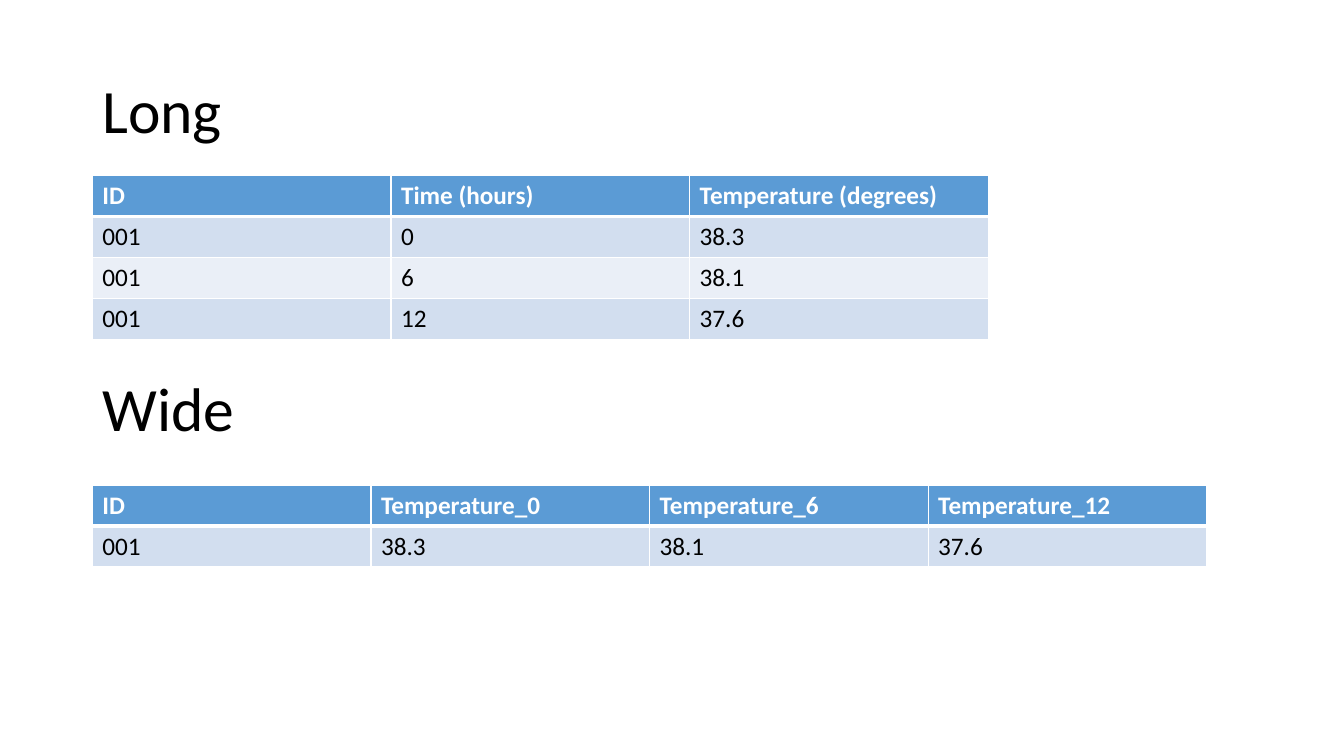
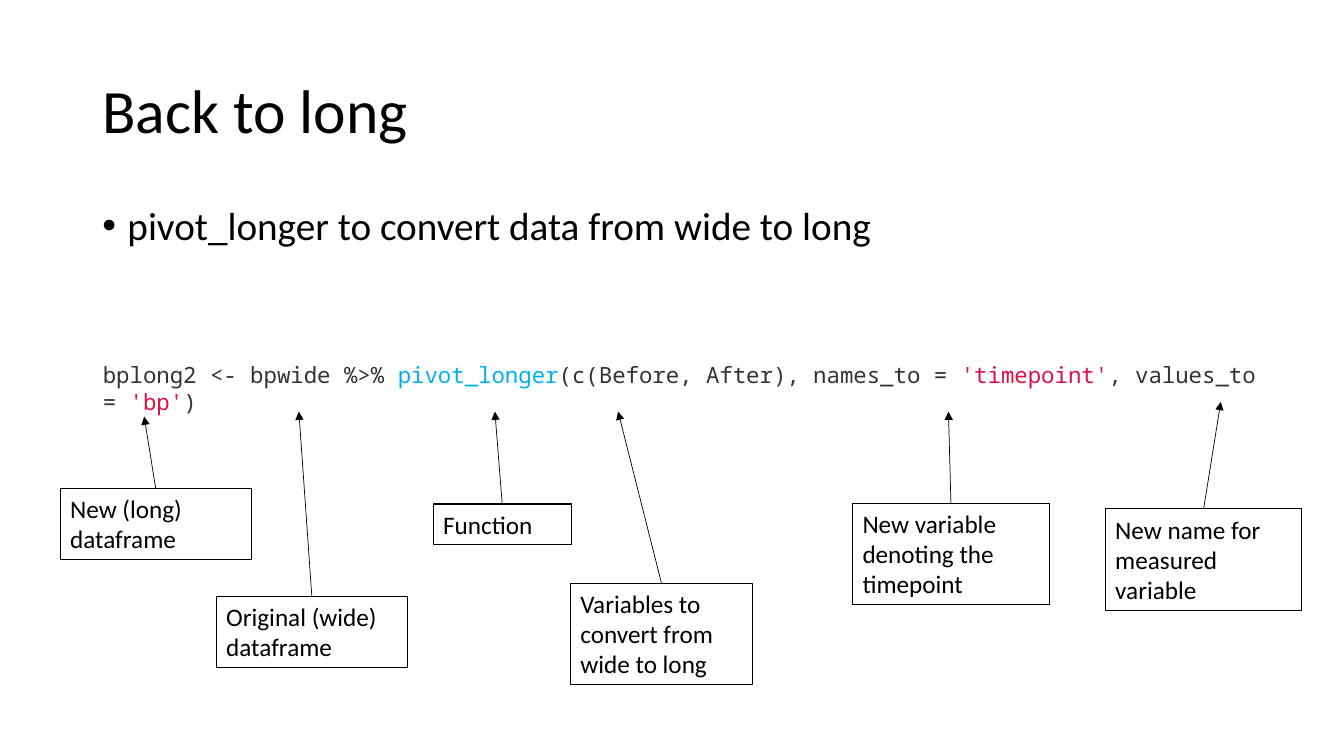
"""Build two slides on reshaping data between long and wide form."""
from typing import NamedTuple

from lxml.etree import SubElement
from pptx import Presentation
from pptx.dml.color import RGBColor
from pptx.enum.shapes import MSO_CONNECTOR as Connector
from pptx.enum.text import MSO_ANCHOR as Anchor
from pptx.oxml.ns import qn
from pptx.shapes.autoshape import Shape
from pptx.slide import Slide
from pptx.text.text import _Run as Run
from pptx.util import Pt

BLACK, WHITE = "000000", "FFFFFF"
HEADER_FILL, BAND_FILLS = "5B9BD5", ("D2DEEF", "EAEFF7")
CODE_GREY, CODE_BLUE, CODE_RED = "333333", "00B0F0", "DD1144"
BODY_FONT, CODE_FONT = "Calibri", "Noto Sans Mono"
MARGIN, CONTENT_WIDTH = 66, 828
TITLE_TOP, TITLE_HEIGHT = 28.75, 104.4
ROW_HEIGHT = 29.2
LINE_HEIGHT, BOX_PADDING = 21.8, 7.2


class Callout(NamedTuple):
    label: str
    left: float
    top: float
    width: float
    lines: int
    tip_x: float
    tip_y: float


class CodePart(NamedTuple):
    text: str
    color: str


LONG_ROWS = (
    ("ID", "Time (hours)", "Temperature (degrees)"),
    ("001", "0", "38.3"),
    ("001", "6", "38.1"),
    ("001", "12", "37.6"),
)
WIDE_ROWS = (
    ("ID", "Temperature_0", "Temperature_6", "Temperature_12"),
    ("001", "38.3", "38.1", "37.6"),
)
CODE = (
    CodePart("bplong2 <- bpwide %>% ", CODE_GREY),
    CodePart("pivot_longer", CODE_BLUE),
    CodePart("(c(Before, After), names_to = ", CODE_GREY),
    CodePart("'timepoint'", CODE_RED),
    CodePart(", values_to = ", CODE_GREY),
    CodePart("'bp'", CODE_RED),
    CodePart(")", CODE_GREY),
)
CALLOUTS = (
    Callout("New (long) dataframe", 43, 349, 136.5, 2, 103, 297.5),
    Callout("Original (wide) dataframe", 154.5, 426, 136.5, 2, 213.5, 294),
    Callout("Function", 309.5, 360, 98.5, 1, 353.5, 294),
    Callout("Variables to convert from wide to long", 407.5, 416.5, 130, 3, 441.5, 294),
    Callout("New variable denoting the timepoint", 609, 359.5, 140.5, 3, 677.5, 294),
    Callout("New name for measured variable", 789.5, 363.5, 140.5, 3, 872, 287),
)


def rgb(color: str) -> RGBColor:
    """Turn a hex string into a colour."""
    return RGBColor.from_string(color)


def style_run(run: Run, size: float, color: str = BLACK,
              font: str = BODY_FONT, bold: bool = False) -> None:
    """Set the font of a run."""
    run.font.size = Pt(size)
    run.font.name = font
    run.font.bold = bold
    run.font.color.rgb = rgb(color)


def add_text(slide: Slide, text: str, left: float, top: float, width: float,
             height: float, size: float) -> Shape:
    """Add a wrapped text box with one paragraph."""
    box = slide.shapes.add_textbox(Pt(left), Pt(top), Pt(width), Pt(height))
    box.text_frame.word_wrap = True
    box.text_frame.text = text
    for run in box.text_frame.paragraphs[0].runs:
        style_run(run, size)
    return box


def add_title(slide: Slide, text: str, top: float = TITLE_TOP) -> None:
    """Add a large heading."""
    title = add_text(slide, text, MARGIN, top, CONTENT_WIDTH, TITLE_HEIGHT, 44)
    title.text_frame.vertical_anchor = Anchor.MIDDLE
    title.text_frame.paragraphs[0].line_spacing = 0.9


def add_bullet(slide: Slide, text: str, top: float) -> None:
    """Add a bulleted statement."""
    body = add_text(slide, text, MARGIN, top, CONTENT_WIDTH, 60, 28)
    paragraph = body.text_frame.paragraphs[0]
    paragraph.line_spacing = 0.9
    paragraph.space_before = Pt(10)
    properties = paragraph._p.get_or_add_pPr()
    properties.set("marL", str(Pt(18)))
    properties.set("indent", str(Pt(-18)))
    SubElement(properties, qn("a:buFont"), typeface="Arial")
    SubElement(properties, qn("a:buChar"), char="•")


def add_data_table(slide: Slide, rows: tuple[tuple[str, ...], ...],
                   top: float, width: float) -> None:
    """Add a banded table with a header row and white rules."""
    columns = len(rows[0])
    table = slide.shapes.add_table(len(rows), columns, Pt(MARGIN), Pt(top),
                                   Pt(width), Pt(ROW_HEIGHT * len(rows))).table
    for column in table.columns:
        column.width = Pt(width / columns)
    for row_index, values in enumerate(rows):
        header = row_index == 0
        fill = HEADER_FILL if header else BAND_FILLS[(row_index - 1) % 2]
        for column_index, value in enumerate(values):
            cell = table.cell(row_index, column_index)
            cell.text_frame.text = value
            style_run(cell.text_frame.paragraphs[0].runs[0], 18,
                      WHITE if header else BLACK, bold=header)
            for edge in ("lnL", "lnR", "lnT", "lnB"):
                thick = (row_index, edge) in ((0, "lnB"), (1, "lnT"))
                rule = SubElement(cell._tc.get_or_add_tcPr(), qn(f"a:{edge}"),
                                  w=str(Pt(3 if thick else 1)))
                SubElement(SubElement(rule, qn("a:solidFill")),
                           qn("a:srgbClr"), val=WHITE)
            cell.fill.solid()
            cell.fill.fore_color.rgb = rgb(fill)


def add_code(slide: Slide, parts: tuple[CodePart, ...]) -> None:
    """Add a coloured code statement."""
    code = add_text(slide, "", 73.5, 257.5, 831, 46, 16)
    frame = code.text_frame
    frame.vertical_anchor = Anchor.MIDDLE
    frame.margin_left = frame.margin_right = frame.margin_top = 0
    frame.margin_bottom = Pt(7.2)
    for part in parts:
        run = frame.paragraphs[0].add_run()
        run.text = part.text
        style_run(run, 16, part.color, CODE_FONT)


def add_callout(slide: Slide, callout: Callout) -> None:
    """Add an outlined label with an arrow from its top centre."""
    height = callout.lines * LINE_HEIGHT + BOX_PADDING
    label = add_text(slide, callout.label, callout.left, callout.top,
                     callout.width, height, 18)
    label.line.color.rgb = rgb(BLACK)
    label.line.width = Pt(0.75)
    arrow = slide.shapes.add_connector(
        Connector.STRAIGHT, Pt(callout.left + callout.width / 2), Pt(callout.top),
        Pt(callout.tip_x), Pt(callout.tip_y))
    arrow.line.color.rgb = rgb(BLACK)
    arrow.line.width = Pt(0.5)
    SubElement(arrow.line._get_or_add_ln(), qn("a:tailEnd"), type="triangle")
    SubElement(arrow._element.spPr, qn("a:effectLst"))


def main() -> None:
    """Build and save the presentation."""
    deck = Presentation()
    deck.slide_width, deck.slide_height = Pt(960), Pt(540)
    blank = deck.slide_layouts[6]

    shapes_of_data = deck.slides.add_slide(blank)
    add_title(shapes_of_data, "Long")
    add_data_table(shapes_of_data, LONG_ROWS, 125.5, 640)
    add_title(shapes_of_data, "Wide", 242)
    add_data_table(shapes_of_data, WIDE_ROWS, 346.5, 796)

    back_to_long = deck.slides.add_slide(blank)
    add_title(back_to_long, "Back to long")
    add_bullet(back_to_long, "pivot_longer to convert data from wide to long", 143.75)
    add_code(back_to_long, CODE)
    for callout in CALLOUTS:
        add_callout(back_to_long, callout)

    deck.save("out.pptx")


if __name__ == "__main__":
    main()
